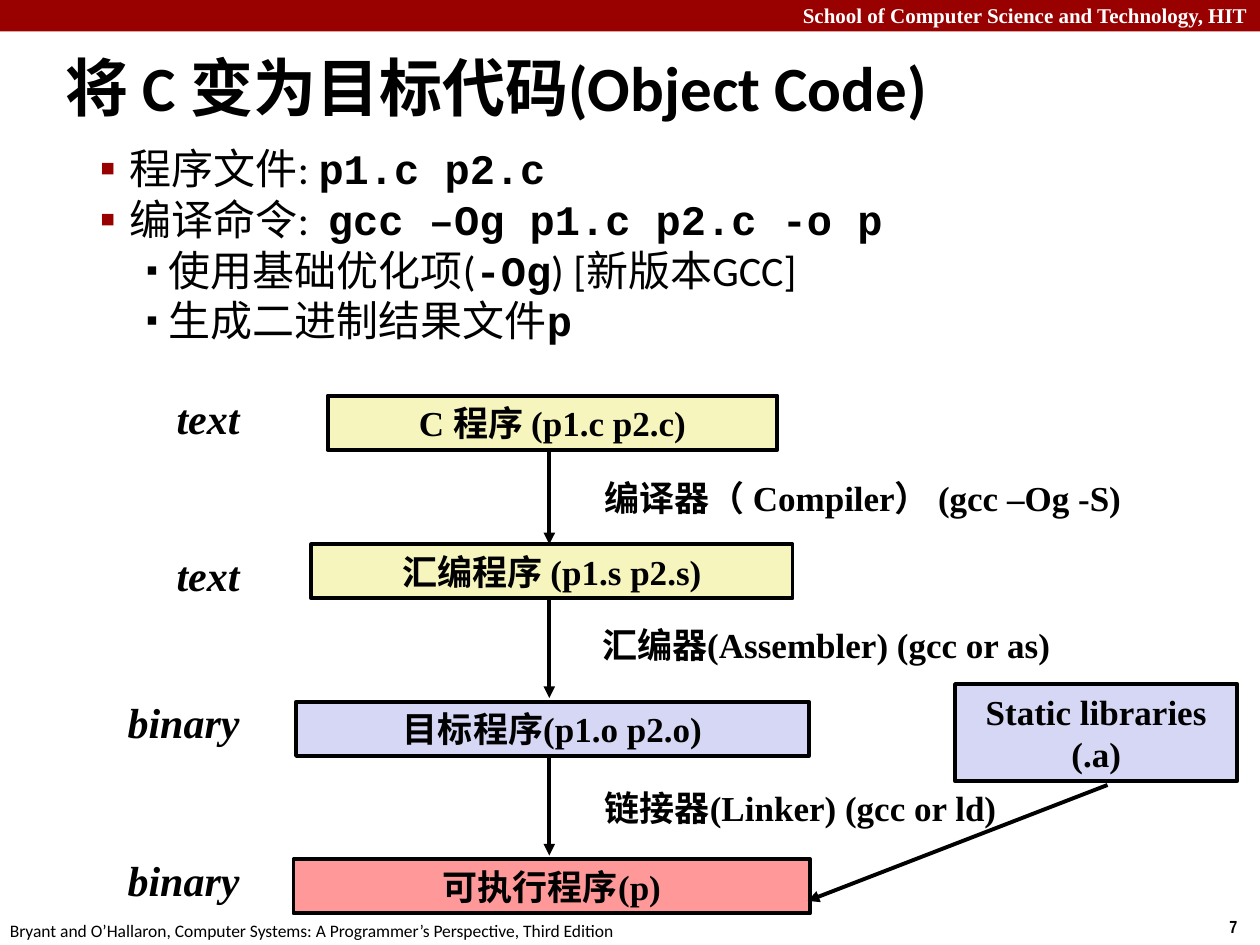
import pptx
import pptx.util
import pptx.dml.color
import pptx.enum.shapes
import pptx.enum.text
import pptx.oxml.ns
from lxml import etree

Inches = pptx.util.Inches
Pt = pptx.util.Pt
RGBColor = pptx.dml.color.RGBColor
ALIGN = pptx.enum.text.PP_ALIGN
ANCHOR = pptx.enum.text.MSO_ANCHOR
qn = pptx.oxml.ns.qn

RED = RGBColor(0x99, 0x00, 0x00)
BLACK = RGBColor(0x00, 0x00, 0x00)
WHITE = RGBColor(0xFF, 0xFF, 0xFF)
YELLOW = RGBColor(0xF6, 0xF5, 0xBD)
LILAC = RGBColor(0xD6, 0xD6, 0xF5)
PINK = RGBColor(0xFF, 0x99, 0x99)

SERIF, SANS, MONO, NARROW = "Times New Roman", "Calibri", "Courier New", "Arial Narrow"


class SlideBuilder:
    def __init__(self, prs):
        self.slide = prs.slides.add_slide(prs.slide_layouts[1])
        self.line_width = Pt(2.25)

    def style(self, r, size, font=SERIF, color=BLACK, bold=True, italic=False):
        r.font.size, r.font.name = Pt(size), font
        r.font.bold, r.font.italic = bold, italic
        r.font.color.rgb = color

    def place(self, sp, x, y, w, h):
        sp.left, sp.top, sp.width, sp.height = (Inches(v) for v in (x, y, w, h))

    def text(self, text, x, y, w, h, size, align=ALIGN.LEFT, wrap=True, **style):
        sp = self.slide.shapes.add_textbox(Inches(x), Inches(y), Inches(w), Inches(h))
        tf = sp.text_frame
        tf.word_wrap = wrap
        tf.text = text
        p = tf.paragraphs[0]
        p.alignment = align
        self.style(p.runs[0], size, **style)

    def box(self, x, y, w, h, fill, text="", outlined=True):
        sp = self.slide.shapes.add_shape(
            pptx.enum.shapes.MSO_SHAPE.RECTANGLE, Inches(x), Inches(y), Inches(w), Inches(h))
        sp.shadow.inherit = False
        sp.fill.solid()
        sp.fill.fore_color.rgb = fill
        if outlined:
            sp.line.color.rgb = BLACK
            sp.line.width = self.line_width
        else:
            sp.line.fill.background()
        if text:
            tf = sp.text_frame
            tf.word_wrap = True
            tf.vertical_anchor = ANCHOR.MIDDLE
            tf.text = text
            p = tf.paragraphs[0]
            p.alignment = ALIGN.CENTER
            self.style(p.runs[0], 20)

    def arrow(self, x1, y1, x2, y2):
        c = self.slide.shapes.add_connector(
            pptx.enum.shapes.MSO_CONNECTOR.STRAIGHT,
            Inches(x1), Inches(y1), Inches(x2), Inches(y2))
        c.line.color.rgb = BLACK
        c.line.width = self.line_width
        etree.SubElement(c.line._get_or_add_ln(), qn("a:tailEnd"), type="triangle")
        etree.SubElement(c._element.spPr, qn("a:effectLst"))

    def title(self, text):
        sp = self.slide.shapes.title
        self.place(sp, 0.42, 0.37, 7.65, 0.63)
        tf = sp.text_frame
        tf.text = text
        tf.auto_size = pptx.enum.text.MSO_AUTO_SIZE.NONE
        tf.vertical_anchor = ANCHOR.MIDDLE
        p = tf.paragraphs[0]
        p.alignment = ALIGN.LEFT
        self.style(p.runs[0], 36, font=SANS)

    def bullet(self, p, level):
        indent, hanging, size, color = {
            1: (0.61, 0.24, 110, RED), 2: (0.92, 0.18, 80, BLACK)}[level]
        p.level = level
        pPr = p._p.get_or_add_pPr()
        pPr.set("marL", str(Inches(indent)))
        pPr.set("indent", str(-Inches(hanging)))
        clr = etree.SubElement(pPr, qn("a:buClr"))
        etree.SubElement(clr, qn("a:srgbClr"), val=str(color))
        etree.SubElement(pPr, qn("a:buSzPct"), val=str(size * 1000))
        etree.SubElement(pPr, qn("a:buChar"), char="▪")

    def body(self, items):
        """Fill the list; each item is a level and its runs, every second run being code."""
        sp = self.slide.placeholders[1]
        self.place(sp, 0.32, 1.08, 9.09, 1.6)
        tf = sp.text_frame
        tf.auto_size = pptx.enum.text.MSO_AUTO_SIZE.NONE
        for i, (level, *parts) in enumerate(items):
            p = tf.add_paragraph() if i else tf.paragraphs[0]
            self.bullet(p, level)
            p.line_spacing = Pt(29)
            p.space_before = Pt(0)
            for j, part in enumerate(parts):
                r = p.add_run()
                r.text = part
                code = j % 2 == 1
                self.style(r, 24, font=MONO if code else SANS, bold=code)


def main():
    prs = pptx.Presentation()
    prs.slide_width, prs.slide_height = Inches(10), Inches(7.5)
    s = SlideBuilder(prs)

    s.box(0, 0, 10, 0.25, RED, outlined=False)
    s.text("School of Computer Science and Technology, HIT", 0, -0.03, 10, 0.3, 12,
           align=ALIGN.RIGHT, color=WHITE)
    s.text("7", 9.66, 7.22, 0.34, 0.27, 10, wrap=False, font=NARROW)
    s.text("Bryant and O’Hallaron, Computer Systems: A Programmer’s Perspective, Third Edition",
           -0.02, 7.25, 5.08, 0.27, 10, wrap=False, font=SANS, bold=False)

    s.title("将 C 变为目标代码(Object Code)")
    s.body([
        (1, "程序文件: ", "p1.c p2.c"),
        (1, "编译命令:  ", "gcc –Og p1.c p2.c -o p"),
        (2, "使用基础优化项(", "-Og", ") [新版本GCC]"),
        (2, "生成二进制结果文件", "p"),
    ])

    # Stages: text, left, top, width, fill, then file kind and its top
    box_h, arrow_x = 0.43, 4.36
    stages = [
        ("C 程序 (p1.c p2.c)", 2.6, 3.14, 3.57, YELLOW, "text", 3.07),
        ("汇编程序 (p1.s p2.s)", 2.47, 4.32, 3.82, YELLOW, "text", 4.31),
        ("目标程序(p1.o p2.o)", 2.35, 5.57, 4.07, LILAC, "binary", 5.48),
        ("可执行程序(p)", 2.33, 6.82, 4.1, PINK, "binary", 6.73),
    ]
    for text, x, y, w, fill, kind, kind_y in stages:
        s.box(x, y, w, box_h, fill, text)
        s.text(kind, 0.8, kind_y, 1.2, 0.5, 24, align=ALIGN.RIGHT, italic=True)

    # Tools: text, left, top, width, then the end of the arrow beside it
    tools = [
        ("编译器（ Compiler） (gcc –Og -S)", 4.7, 3.73, 5.04, 4.32),
        ("汇编器(Assembler) (gcc or as)", 4.68, 4.9, 4.54, 5.54),
        ("链接器(Linker) (gcc or ld)", 4.7, 6.19, 3.75, 6.79),
    ]
    for stage, (text, x, y, w, arrow_end) in zip(stages, tools):
        s.text(text, x, y, w, box_h, 20)
        s.arrow(arrow_x, stage[2] + box_h, arrow_x, arrow_end)

    s.box(7.58, 5.43, 2.24, 0.77, LILAC, "Static libraries (.a)")
    s.arrow(8.79, 6.23, 6.41, 7.15)

    prs.save("out.pptx")


if __name__ == "__main__":
    main()
